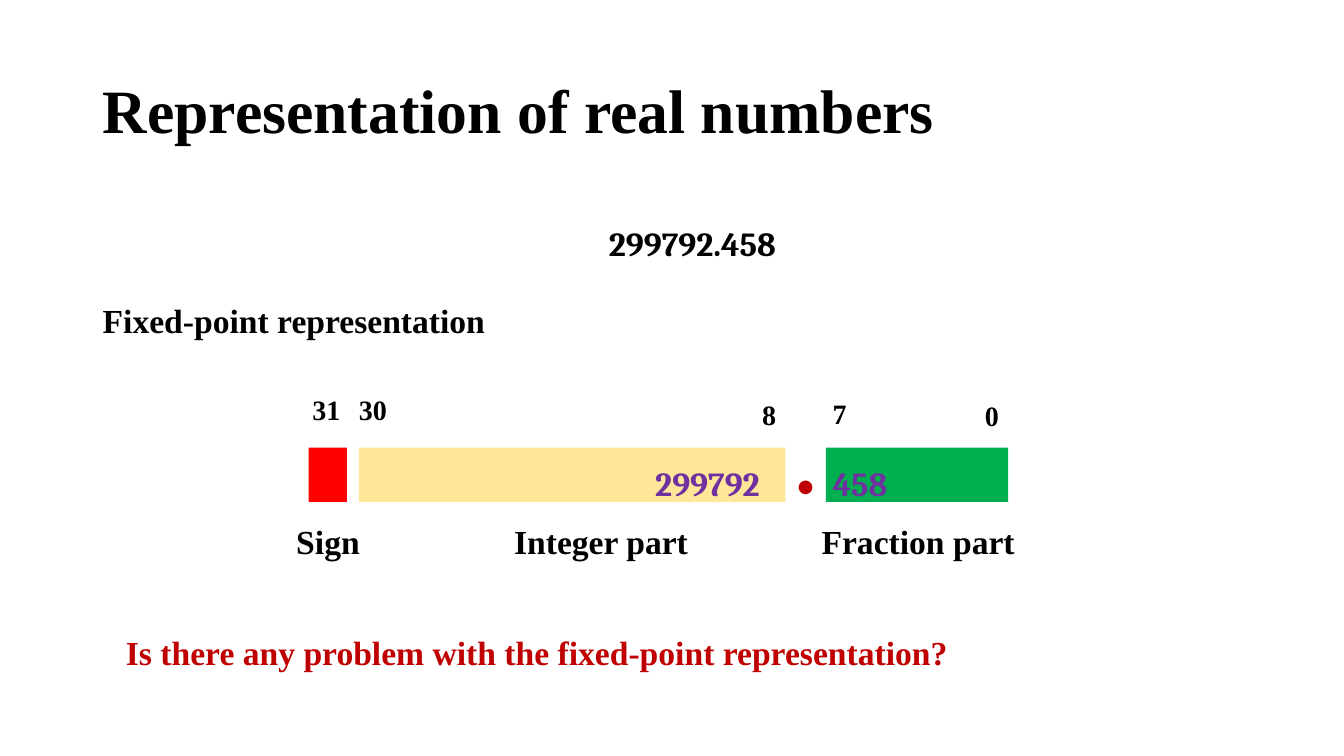
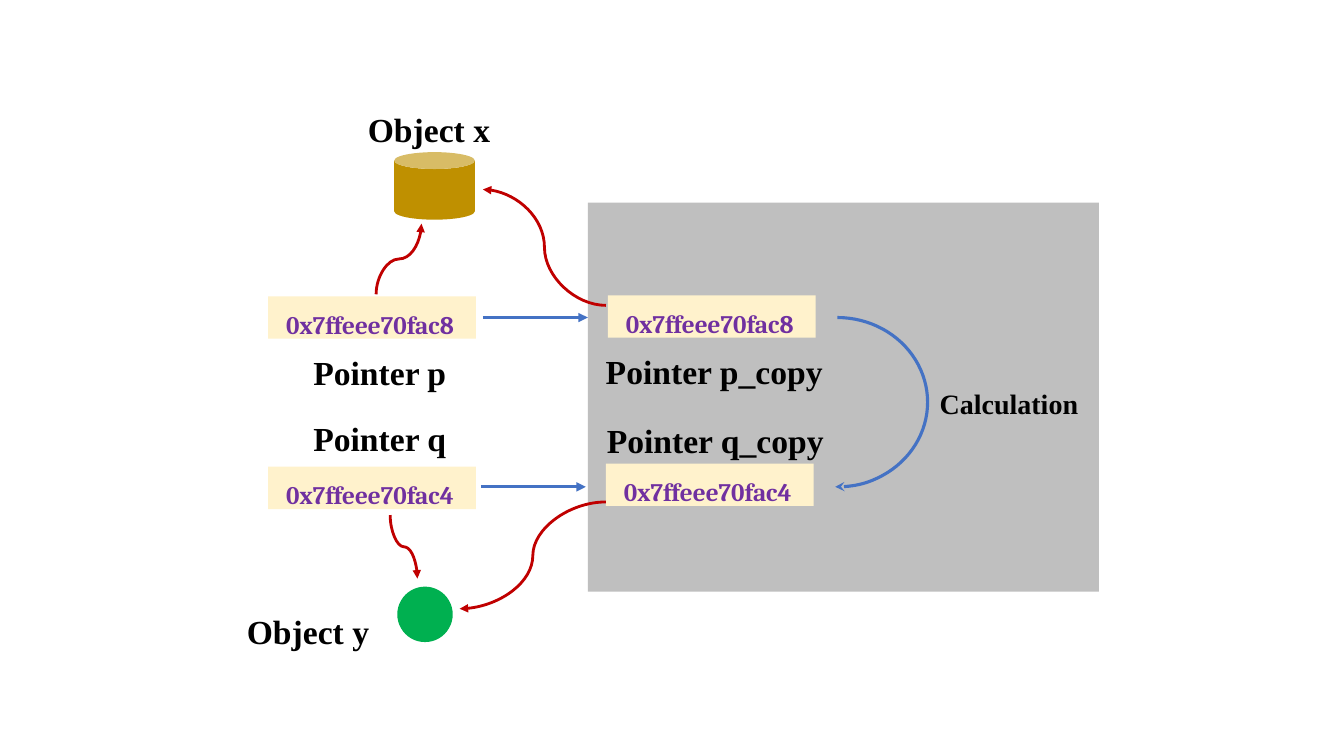
"""Build two slides: fixed-point numbers and copied pointers."""
from typing import Any, NamedTuple, Optional

import pptx
import pptx.dml.color
import pptx.enum.shapes
import pptx.enum.text
import pptx.oxml
import pptx.oxml.ns
import pptx.slide
import pptx.util

Inches = pptx.util.Inches
KIND = pptx.enum.shapes.MSO_SHAPE
LINK = pptx.enum.shapes.MSO_CONNECTOR
ALIGN = pptx.enum.text.PP_ALIGN
FIT = pptx.enum.text.MSO_AUTO_SIZE

COLORS = {
    "black": "000000", "white": "FFFFFF", "red": "FF0000", "crimson": "C00000",
    "green": "00B050", "sand": "FFE699", "cream": "FFF2CC", "gold": "BF9000",
    "gray": "BFBFBF", "blue": "4472C4", "purple": "7030A0",
}
SERIF = "Times New Roman"
DIGIT = "Cambria"
FIXED = pptx.util.Pt(32.8)
LOOSE = 1.5


class Label(NamedTuple):
    text: str
    left: float
    top: float
    width: float
    height: float = 0.63
    size: float = 24
    color: str = "black"
    face: str = SERIF
    space: Any = LOOSE
    wrap: bool = True


class Block(NamedTuple):
    kind: Any
    left: float
    top: float
    width: float
    height: float
    color: str


class Arrow(NamedTuple):
    x1: float
    y1: float
    x2: float
    y2: float
    color: str = "crimson"
    curved: bool = True
    upright: bool = False


def tint(name: str) -> pptx.dml.color.RGBColor:
    return pptx.dml.color.RGBColor.from_string(COLORS[name])


def apply(target: Any, values: dict[str, Any]) -> None:
    for name, value in values.items():
        setattr(target, name, value)


def write(frame: Any, text: str, size: float, color: str, face: str, layout: dict[str, Any]) -> None:
    para = frame.paragraphs[0]
    apply(para, layout)
    run = para.add_run()
    run.text = text
    apply(run.font, {"name": face, "size": pptx.util.Pt(size), "bold": True})
    run.font.color.rgb = tint(color)


def add_title(slide: pptx.slide.Slide, text: str) -> None:
    title = slide.shapes.title
    apply(title, {"left": Inches(0.92), "top": Inches(0.4),
                  "width": Inches(11.5), "height": Inches(1.45)})
    apply(title.text_frame, {"word_wrap": True, "auto_size": FIT.NONE,
                             "vertical_anchor": pptx.enum.text.MSO_ANCHOR.MIDDLE})
    write(title.text_frame, text, 44, "black", SERIF,
          {"alignment": ALIGN.LEFT, "line_spacing": 0.9})


def add_label(slide: pptx.slide.Slide, item: Label) -> None:
    box = slide.shapes.add_textbox(*map(Inches, item[1:5]))
    apply(box.text_frame, {"word_wrap": item.wrap, "auto_size": FIT.SHAPE_TO_FIT_TEXT})
    write(box.text_frame, item.text, item.size, item.color, item.face,
          {"alignment": ALIGN.JUSTIFY, "line_spacing": item.space})


def add_block(slide: pptx.slide.Slide, item: Block) -> None:
    shape = slide.shapes.add_shape(item.kind, *map(Inches, item[1:5]))
    shape.shadow.inherit = False
    shape.fill.solid()
    shape.fill.fore_color.rgb = tint(item.color)
    shape.line.fill.background()


def set_line(shape: Any, color: str, width: float, head: str) -> None:
    shape.line.color.rgb = tint(color)
    shape.line.width = pptx.util.Pt(width)
    tail = pptx.oxml.parse_xml(f'<a:tailEnd {pptx.oxml.ns.nsdecls("a")} type="{head}"/>')
    shape.get_or_add_ln().append(tail)


def add_arrow(slide: pptx.slide.Slide, item: Arrow) -> None:
    ends, turn = item[:4], 0
    if item.upright:
        mid_x, mid_y = (item.x1 + item.x2) / 2, (item.y1 + item.y2) / 2
        half_w = abs(item.y2 - item.y1) / 2
        half_h = (item.x2 - item.x1) / 2
        sign, turn = (1, 90) if item.y2 < item.y1 else (-1, 270)
        ends = (mid_x + half_w, mid_y + sign * half_h,
                mid_x - half_w, mid_y - sign * half_h)
    kind = LINK.CURVE if item.curved else LINK.STRAIGHT
    line = slide.shapes.add_connector(kind, *map(Inches, ends))
    set_line(line, item.color, 2 if item.curved else 2.25, "triangle")
    props = line.element.spPr
    if turn:
        props.find(pptx.oxml.ns.qn("a:xfrm")).set("rot", str(turn * 60000))
    props.append(pptx.oxml.parse_xml(f'<a:effectLst {pptx.oxml.ns.nsdecls("a")}/>'))


def add_arc(slide: pptx.slide.Slide) -> None:
    arc = slide.shapes.add_shape(KIND.ARC, *map(Inches, (7.41, 3.15, 1.79, 1.68)))
    arc.shadow.inherit = False
    arc.fill.background()
    for index, angle in enumerate((162, 54.86)):
        arc.adjustments[index] = angle
    set_line(arc, "blue", 2.25, "stealth")


def add_cell(slide: pptx.slide.Slide, left: float, top: float, text: str) -> None:
    add_block(slide, Block(KIND.RECTANGLE, left, top, 2.06, 0.42, "cream"))
    add_label(slide, Label(text, left + 0.08, top - 0.07, 1.98, 0.5, 18,
                           "purple", DIGIT, wrap=False))


def new_slide(deck: Any, title: Optional[str] = None) -> pptx.slide.Slide:
    slide = deck.slides.add_slide(deck.slide_layouts[5 if title else 6])
    slide.background.fill.solid()
    slide.background.fill.fore_color.rgb = tint("white")
    if title:
        add_title(slide, title)
    return slide


def draw_numbers(deck: Any) -> None:
    slide = new_slide(deck, "Representation of real numbers")
    for left, width, color in ((3.06, 0.38, "red"), (3.56, 4.23, "sand"), (8.19, 1.81, "green")):
        add_block(slide, Block(KIND.RECTANGLE, left, 4.44, width, 0.54, color))
    for text, left, top in (("31", 3, 3.72), ("30", 3.46, 3.72), ("8", 7.46, 3.77),
                            ("7", 8.16, 3.76), ("0", 9.67, 3.78)):
        add_label(slide, Label(text, left, top, 0.71, 0.52, 20, space=FIXED))
    for text, left, width in (("Sign", 2.84, 0.86), ("Integer part", 5, 2.19),
                              ("Fraction part", 8.05, 2.19)):
        add_label(slide, Label(text, left, 5.06, width, 0.52, space=FIXED))
    for item in (
        Label("299792.458", 5.94, 1.96, 2.08, face=DIGIT),
        Label("Fixed-point representation", 0.92, 2.87, 4.08, 0.52, space=FIXED),
        Label(".", 7.79, 4.56, 0.38, 0.64, 60, "crimson", space=FIXED),
        Label("299792", 6.4, 4.34, 1.58, color="purple", face=DIGIT),
        Label("458", 8.16, 4.34, 1.03, color="purple", face=DIGIT),
        Label("Is there any problem with the fixed-point representation?",
              1.15, 6.16, 8.52, 0.52, color="crimson", space=FIXED),
    ):
        add_label(slide, item)


def draw_pointers(deck: Any) -> None:
    slide = new_slide(deck)
    for item in (
        Block(KIND.RECTANGLE, 5.83, 2.01, 5.07, 3.86, "gray"),
        Block(KIND.CAN, 3.91, 1.51, 0.8, 0.67, "gold"),
        Block(KIND.OVAL, 3.94, 5.82, 0.55, 0.55, "green"),
    ):
        add_block(slide, item)
    for left, top, text in ((2.66, 2.94, "0x7ffeee70fac8"), (6.03, 2.93, "0x7ffeee70fac8"),
                            (2.66, 4.63, "0x7ffeee70fac4"), (6.01, 4.6, "0x7ffeee70fac4")):
        add_cell(slide, left, top, text)
    for item in (
        Label("Object x", 3.55, 0.83, 1.55),
        Label("Pointer p", 3.01, 3.24, 1.56),
        Label("Pointer q", 3.01, 3.9, 1.56),
        Label("Pointer p_copy", 5.91, 3.23, 2.5),
        Label("Pointer q_copy", 5.92, 3.92, 2.5),
        Label("Calculation", 9.22, 3.62, 1.69, 0.55, 20),
        Label("Object y", 2.35, 5.81, 1.55),
    ):
        add_label(slide, item)
    for item in (
        Arrow(4.79, 3.15, 5.83, 3.15, "blue", False),
        Arrow(4.77, 4.83, 5.81, 4.83, "blue", False),
        Arrow(3.73, 2.92, 4.18, 2.22, upright=True),
        Arrow(3.87, 5.11, 4.14, 5.74, upright=True),
        Arrow(6.01, 3.03, 4.79, 1.88),
        Arrow(6.01, 4.98, 4.56, 6.04),
    ):
        add_arrow(slide, item)
    add_arc(slide)


def main() -> None:
    deck = pptx.Presentation()
    apply(deck, {"slide_width": Inches(13.33), "slide_height": Inches(7.5)})
    draw_numbers(deck)
    draw_pointers(deck)
    deck.save("out.pptx")


if __name__ == "__main__":
    main()
